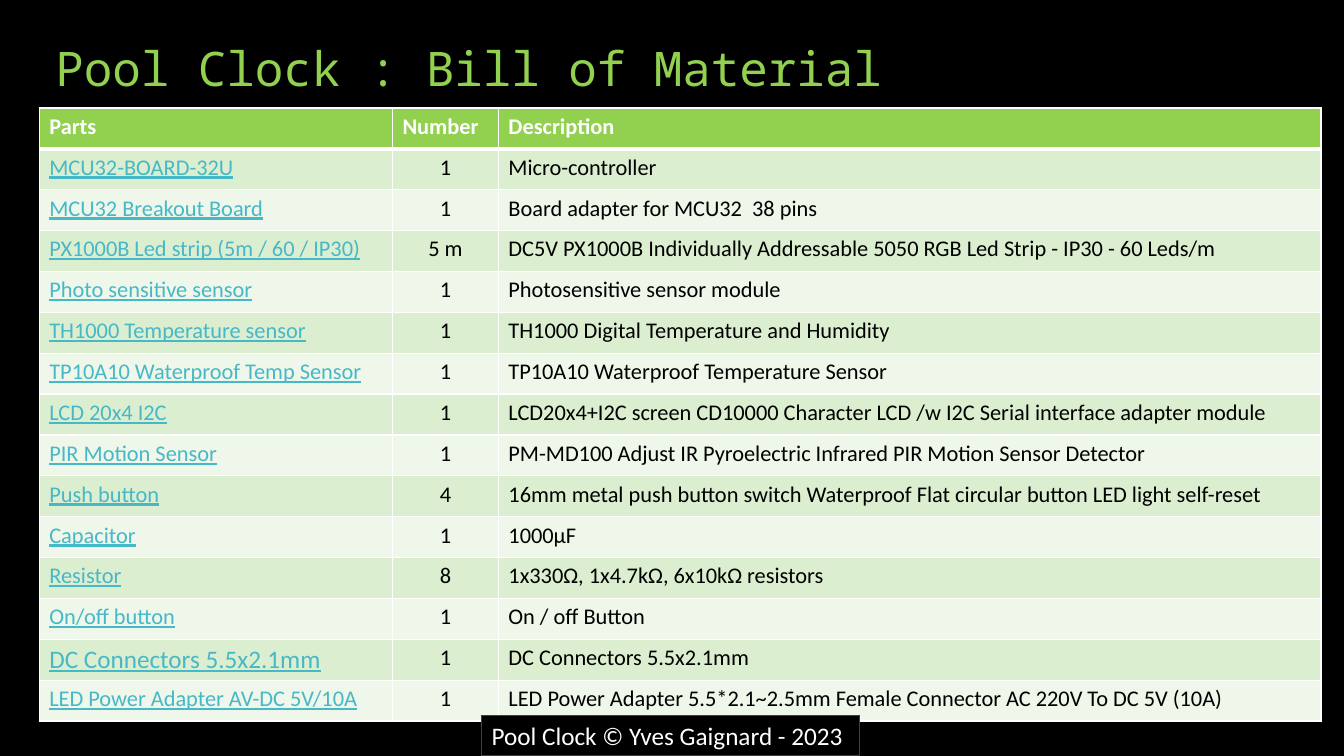
from typing import NamedTuple

from lxml.etree import SubElement as Sub
from pptx import Presentation
from pptx.dml.color import RGBColor
from pptx.enum.shapes import MSO_SHAPE as Shape
from pptx.enum.text import MSO_ANCHOR as Anchor, MSO_AUTO_SIZE as Fit, PP_ALIGN as Align
from pptx.oxml.ns import qn
from pptx.util import Cm, Pt

BLACK, WHITE, GREEN, LINK = "000000", "FFFFFF", "92D050", "47B8C7"
BANDS = "DCEED0", "EEF7E9"
SANS, MONO = "Calibri", "Noto Sans Mono"
WIDTHS = 8.9, 2.67, 20.73
ROW = 1.03


class Part(NamedTuple):
    name: str
    count: str
    about: str
    size: int = 16


HEAD = Part("Parts", "Number", "Description")
PARTS = [
    Part("MCU32-BOARD-32U", "1", "Micro-controller"),
    Part("MCU32 Breakout Board", "1", "Board adapter for MCU32  38 pins"),
    Part("PX1000B Led strip (5m / 60 / IP30)", "5 m",
         "DC5V PX1000B Individually Addressable 5050 RGB Led Strip - IP30 - 60 Leds/m"),
    Part("Photo sensitive sensor", "1", "Photosensitive sensor module"),
    Part("TH1000 Temperature sensor", "1", "TH1000 Digital Temperature and Humidity"),
    Part("TP10A10 Waterproof Temp Sensor", "1", "TP10A10 Waterproof Temperature Sensor"),
    Part("LCD 20x4 I2C", "1",
         "LCD20x4+I2C screen CD10000 Character LCD /w I2C Serial interface adapter module"),
    Part("PIR Motion Sensor", "1",
         "PM-MD100 Adjust IR Pyroelectric Infrared PIR Motion Sensor Detector"),
    Part("Push button", "4",
         "16mm metal push button switch Waterproof Flat circular button LED light self-reset"),
    Part("Capacitor", "1", "1000μF"),
    Part("Resistor", "8", "1x330Ω, 1x4.7kΩ, 6x10kΩ resistors"),
    Part("On/off button", "1", "On / off Button"),
    Part("DC Connectors 5.5x2.1mm", "1", "DC Connectors 5.5x2.1mm", 18),
    Part("LED Power Adapter AV-DC 5V/10A", "1",
         "LED Power Adapter 5.5*2.1~2.5mm Female Connector AC 220V To DC 5V (10A)"),
]


def paint(fill, color: str) -> None:
    fill.solid()
    fill.fore_color.rgb = RGBColor.from_string(color)


def write(frame, text: str, size: float, color: str, face: str = SANS,
          bold: bool = False, line: bool = False, align=Align.LEFT) -> None:
    """Put one formatted paragraph in a text frame."""
    frame.text = text
    para = frame.paragraphs[0]
    para.alignment = align
    font = para.runs[0].font
    font.size, font.name, font.bold, font.underline = Pt(size), face, bold, line
    paint(font.fill, color)


def edge(cell, side: str, width: float) -> None:
    """Draw a white border on one side of a cell."""
    rule = Sub(cell._tc.get_or_add_tcPr(), qn(f"a:ln{side}"), w=str(Pt(width)))
    Sub(Sub(rule, qn("a:solidFill")), qn("a:srgbClr"), val=WHITE)


def add_title(slide) -> None:
    title = slide.shapes.title
    title.left, title.top, title.width, title.height = Cm(1.14), Cm(0.71), Cm(31.98), Cm(1.85)
    frame = title.text_frame
    write(frame, "Pool Clock : Bill of Material", 34, GREEN, MONO)
    frame.paragraphs[0].line_spacing = 0.9
    frame.vertical_anchor = Anchor.BOTTOM
    frame.auto_size = Fit.NONE


def add_parts(slide) -> None:
    rows = [HEAD, *PARTS]
    table = slide.shapes.add_table(len(rows), len(WIDTHS), Cm(0.99), Cm(2.72),
                                   Cm(sum(WIDTHS)), Cm(ROW * len(rows))).table
    for col, width in zip(table.columns, WIDTHS):
        col.width = Cm(width)
    for i, part in enumerate(rows):
        table.rows[i].height = Cm(ROW)
        head = i == 0
        for j, text in enumerate(part[:3]):
            cell = table.cell(i, j)
            link = j == 0 and not head
            for side in "LRTB":
                thick = (head and side == "B") or (i == 1 and side == "T")
                edge(cell, side, 3 if thick else 1)
            paint(cell.fill, GREEN if head else BANDS[(i - 1) % 2])
            write(cell.text_frame, text, part.size if link else 16,
                  WHITE if head else LINK if link else BLACK, bold=head, line=link,
                  align=Align.CENTER if j == 1 and not head else Align.LEFT)


def add_credit(slide) -> None:
    box = slide.shapes.add_shape(Shape.RECTANGLE, Cm(12.14), Cm(18.03), Cm(9.53), Cm(1.02))
    box.shadow.inherit = False
    paint(box.fill, BLACK)
    paint(box.line.fill, "3F3F3F")
    box.line.width = Pt(0.75)
    frame = box.text_frame
    write(frame, "Pool Clock © Yves Gaignard - 2023", 18, WHITE)
    frame.vertical_anchor = Anchor.TOP
    frame.word_wrap = False
    frame.auto_size = Fit.SHAPE_TO_FIT_TEXT


def main() -> None:
    deck = Presentation()
    deck.slide_width, deck.slide_height = Cm(33.87), Cm(19.05)
    slide = deck.slides.add_slide(deck.slide_layouts[5])
    paint(slide.background.fill, BLACK)
    add_title(slide)
    add_parts(slide)
    add_credit(slide)
    deck.save("out.pptx")


if __name__ == "__main__":
    main()
